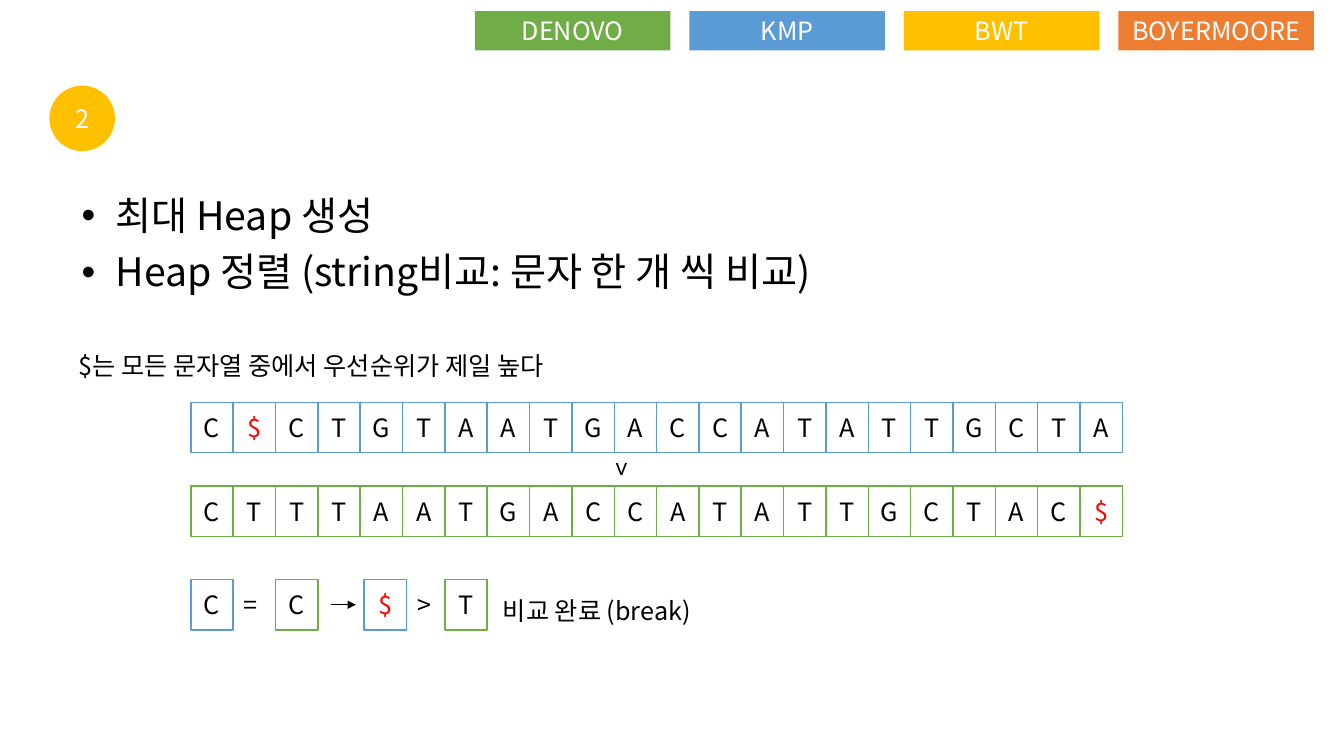
from lxml import etree
from pptx import Presentation
from pptx import util as u
from pptx.dml.color import RGBColor
from pptx.enum import shapes, text
from pptx.oxml.ns import qn

BLACK = RGBColor(0x00, 0x00, 0x00)
WHITE = RGBColor(0xFF, 0xFF, 0xFF)
RED = RGBColor(0xFF, 0x00, 0x00)
BLUE = RGBColor(0x5B, 0x9B, 0xD5)
GREEN = RGBColor(0x70, 0xAD, 0x47)
YELLOW = RGBColor(0xFF, 0xC0, 0x00)
ORANGE = RGBColor(0xED, 0x7D, 0x31)

CELL_WIDTH, CELL_HEIGHT = 3.15, 6.67
STRIP_LEFT = 14.2
COMPARE_TOP = 76.67
TAB_LEFT, TAB_PITCH = 35.33, 15.96


class SlidePainter:
    """Draws styled elements on one slide, with lengths in percent of its size."""

    font = "Noto Sans CJK KR"

    def __init__(self, deck):
        self.width, self.height = deck.slide_width, deck.slide_height
        self.page = deck.slides.add_slide(deck.slide_layouts[6])

    def place(self, left, top, width, height):
        return (int(self.width * left / 100), int(self.height * top / 100),
                int(self.width * width / 100), int(self.height * height / 100))

    def style(self, para, color, size=18):
        for span in para.runs:
            span.font.name = self.font
            span.font.size = u.Pt(size)
            span.font.color.rgb = color
            etree.SubElement(span.font._element, qn("a:ea"), typeface=self.font)

    def shape(self, kind, words, area, color, fill=None, line=None):
        box = self.page.shapes.add_shape(kind, *self.place(*area))
        box.shadow.inherit = False
        if fill is None:
            box.fill.background()
        else:
            box.fill.solid()
            box.fill.fore_color.rgb = fill
        if line is None:
            box.line.fill.background()
        else:
            box.line.color.rgb = line
            box.line.width = u.Pt(1)
        frame = box.text_frame
        frame.text = words
        frame.vertical_anchor = text.MSO_ANCHOR.MIDDLE
        frame.paragraphs[0].alignment = text.PP_ALIGN.CENTER
        self.style(frame.paragraphs[0], color)

    def cell(self, letter, left, top, line):
        color = RED if letter == "$" else BLACK
        area = (left, top, CELL_WIDTH, CELL_HEIGHT)
        self.shape(shapes.MSO_SHAPE.RECTANGLE, letter, area, color, line=line)

    def strip(self, letters, top, line):
        for column, letter in enumerate(letters):
            self.cell(letter, STRIP_LEFT + column * CELL_WIDTH, top, line)

    def label(self, words, area):
        box = self.page.shapes.add_textbox(*self.place(*area))
        box.text_frame.word_wrap = True
        box.text_frame.text = words
        self.style(box.text_frame.paragraphs[0], BLACK)
        return box

    def sign(self, symbol, left, top, rotation=0):
        box = self.label(symbol, (left, top, 1.5, 5.33))
        box.text_frame.margin_right = 0
        box.rotation = rotation

    def bullets(self, lines, area):
        box = self.page.shapes.add_textbox(*self.place(*area))
        frame = box.text_frame
        frame.word_wrap = True
        frame.text = "\n".join(lines)
        for number, para in enumerate(frame.paragraphs):
            para.line_spacing = 0.9
            para.space_before = u.Pt(10 if number else 0)
            settings = para._p.get_or_add_pPr()
            settings.set("marL", str(u.Inches(0.25)))
            settings.set("indent", str(-u.Inches(0.25)))
            etree.SubElement(settings, qn("a:buFont"), typeface="Arial")
            etree.SubElement(settings, qn("a:buChar"), char="•")
            self.style(para, BLACK, 28)

    def arrow(self, left, right, top):
        start_x, y, span_x, _ = self.place(left, top, right - left, 0)
        line = self.page.shapes.add_connector(
            shapes.MSO_CONNECTOR.STRAIGHT, start_x, y, start_x + span_x, y)
        line.line.color.rgb = BLACK
        line.line.width = u.Pt(0.5)
        etree.SubElement(line.line._get_or_add_ln(), qn("a:tailEnd"), type="triangle")
        etree.SubElement(line._element.spPr, qn("a:effectLst"))


def main():
    deck = Presentation()
    deck.slide_width, deck.slide_height = u.Inches(13.33), u.Inches(7.5)
    slide = SlidePainter(deck)

    tabs = (("DENOVO", GREEN), ("KMP", BLUE), ("BWT", YELLOW), ("BOYERMOORE", ORANGE))
    for number, (name, fill) in enumerate(tabs):
        area = (TAB_LEFT + number * TAB_PITCH, 1.47, 14.55, 5.2)
        slide.shape(shapes.MSO_SHAPE.RECTANGLE, name, area, WHITE, fill=fill)
    slide.shape(shapes.MSO_SHAPE.OVAL, "2", (3.68, 11.33, 4.88, 8.67), WHITE, fill=YELLOW)

    slide.bullets((" 최대 Heap 생성", " Heap 정렬 (string비교: 문자 한 개 씩 비교)"),
                  (5.33, 25.33, 86.25, 17.33))
    slide.label("$는 모든 문자열 중에서 우선순위가 제일 높다", (5.1, 45.73, 49.65, 5.33))

    slide.strip("C$CTGTAATGACCATATTGCTA", 53.2, BLUE)
    slide.sign(">", 45.6, 58.53, rotation=90)
    slide.strip("CTTTAATGACCATATTGCTAC$", 64.27, GREEN)

    compared = (("C", STRIP_LEFT, BLUE), ("C", 20.5, GREEN),
                ("$", 27.08, BLUE), ("T", 33.1, GREEN))
    for letter, left, line in compared:
        slide.cell(letter, left, COMPARE_TOP, line)
    slide.sign("=", 17.4, 77.33)
    slide.arrow(24.6, 26.48, 80)
    slide.sign(">", 30.3, 77.33)
    slide.label("비교 완료 (break)", (36.68, 78.13, 20.48, 5.33))

    deck.save("out.pptx")


if __name__ == "__main__":
    main()
